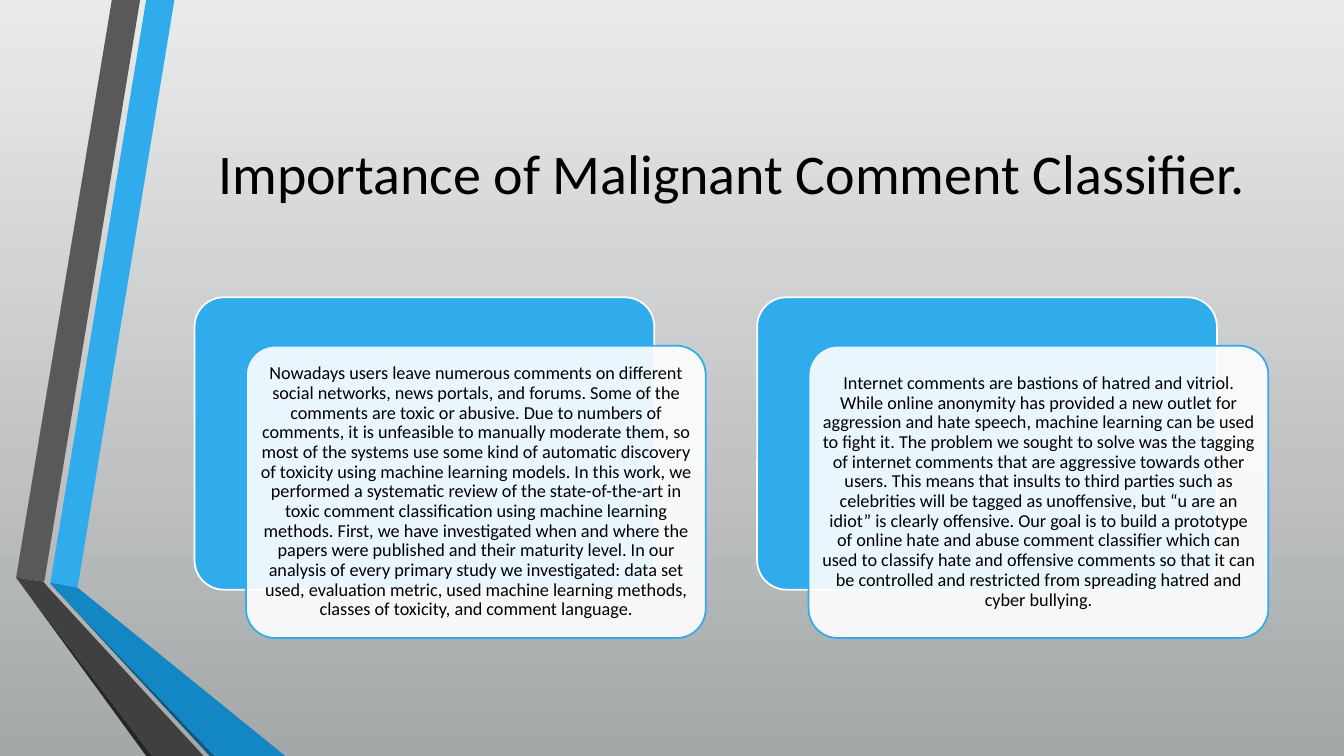
"""Build the slide on the importance of a malignant comment classifier."""
from lxml.etree import SubElement
from pptx import Presentation
from pptx.dml.color import RGBColor
from pptx.enum.shapes import MSO_SHAPE as SHAPE
from pptx.enum.text import MSO_ANCHOR as ANCHOR, PP_ALIGN as ALIGN
from pptx.oxml.ns import qn
from pptx.util import Inches, Pt

BLACK = RGBColor(0x00, 0x00, 0x00)
WHITE = RGBColor(0xFF, 0xFF, 0xFF)
BLUE = RGBColor(0x30, 0xAC, 0xEC)
MID_BLUE = RGBColor(0x12, 0x87, 0xC3)
DARK_BLUE = RGBColor(0x0C, 0x5A, 0x82)
GRAY = RGBColor(0x59, 0x59, 0x59)
DARK_GRAY = RGBColor(0x40, 0x40, 0x40)
CHARCOAL = RGBColor(0x26, 0x26, 0x26)
BACKGROUND = (RGBColor(0xE9, 0xEA, 0xEB), RGBColor(0xA5, 0xA8, 0xA9))
FONT = "Calibri"

TITLE = "Importance of Malignant Comment Classifier."
CARD_TEXTS = [
    "Nowadays users leave numerous comments on different social networks, news portals, "
    "and forums. Some of the comments are toxic or abusive. Due to numbers of comments, it "
    "is unfeasible to manually moderate them, so most of the systems use some kind of "
    "automatic discovery of toxicity using machine learning models. In this work, we "
    "performed a systematic review of the state-of-the-art in toxic comment classification "
    "using machine learning methods. First, we have investigated when and where the papers "
    "were published and their maturity level. In our analysis of every primary study we "
    "investigated: data set used, evaluation metric, used machine learning methods, classes "
    "of toxicity, and comment language.",
    "Internet comments are bastions of hatred and vitriol. While online anonymity has "
    "provided a new outlet for aggression and hate speech, machine learning can be used to "
    "fight it. The problem we sought to solve was the tagging of internet comments that are "
    "aggressive towards other users. This means that insults to third parties such as "
    "celebrities will be tagged as unoffensive, but “u are an idiot” is clearly offensive. "
    "Our goal is to build a prototype of online hate and abuse comment classifier which can "
    "used to classify hate and offensive comments so that it can be controlled and "
    "restricted from spreading hatred and cyber bullying.",
]
RIBBONS = [
    (BLUE, [(0.5, 5.78), (0.77, 5.83), (1.73, 0), (1.45, 0)]),
    (GRAY, [(1.39, 0), (1.11, 0), (0.16, 5.73), (0.44, 5.77)]),
    (CHARCOAL, [(0.16, 5.73), (1.45, 7.5), (1.51, 7.5)]),
    (DARK_BLUE, [(0.5, 5.79), (2.08, 7.5), (2.13, 7.5)]),
    (MID_BLUE, [(0.5, 5.79), (2.13, 7.5), (2.83, 7.5), (0.77, 5.83), (0.5, 5.78)]),
    (DARK_GRAY, [(2.02, 7.5), (0.48, 5.83), (0.43, 5.77), (0.16, 5.73), (1.51, 7.5)]),
]
CARD_LEFT, CARD_TOP, CARD_WIDTH, CARD_HEIGHT = 1.93, 2.95, 4.56, 2.9
CARD_PITCH = 5.58
FRONT_SHIFT = (0.51, 0.48)


def add_ribbon(slide, color, points):
    corners = [(Inches(x), Inches(y)) for x, y in points]
    builder = slide.shapes.build_freeform(*corners[0])
    builder.add_line_segments(corners[1:], close=True)
    shape = builder.convert_to_shape()
    shape.shadow.inherit = False
    shape.fill.solid()
    shape.fill.fore_color.rgb = color
    shape.line.fill.background()


def add_card(slide, left, top, fill, line):
    shape = slide.shapes.add_shape(
        SHAPE.ROUNDED_RECTANGLE,
        Inches(left), Inches(top), Inches(CARD_WIDTH), Inches(CARD_HEIGHT))
    shape.adjustments[0] = 0.1
    shape.shadow.inherit = False
    shape.fill.solid()
    shape.fill.fore_color.rgb = fill
    shape.line.color.rgb = line
    shape.line.width = Pt(1.25)
    return shape


def write_text(shape, text, size, margin, spacing=1.0):
    frame = shape.text_frame
    frame.word_wrap = True
    frame.vertical_anchor = ANCHOR.MIDDLE
    frame.margin_left = frame.margin_right = Inches(margin)
    frame.margin_top = frame.margin_bottom = Inches(0.05)
    paragraph = frame.paragraphs[0]
    paragraph.alignment = ALIGN.CENTER
    paragraph.line_spacing = spacing
    run = paragraph.add_run()
    run.text = text
    run.font.name = FONT
    run.font.size = Pt(size)
    run.font.color.rgb = BLACK


def main():
    presentation = Presentation()
    presentation.slide_width = Inches(13.33)
    presentation.slide_height = Inches(7.5)
    slide = presentation.slides.add_slide(presentation.slide_layouts[6])

    background = slide.background.fill
    background.gradient()
    background.gradient_angle = 270
    for stop, color in zip(background.gradient_stops, BACKGROUND):
        stop.color.rgb = color

    for color, points in RIBBONS:
        add_ribbon(slide, color, points)

    title = slide.shapes.add_textbox(
        Inches(1.93), Inches(0.75), Inches(10.65), Inches(1.92))
    write_text(title, TITLE, 40, 0.1)

    for index, text in enumerate(CARD_TEXTS):
        left = CARD_LEFT + index * CARD_PITCH
        add_card(slide, left, CARD_TOP, BLUE, WHITE)
        front = add_card(
            slide, left + FRONT_SHIFT[0], CARD_TOP + FRONT_SHIFT[1], WHITE, BLUE)
        fill_color = front.fill._xPr.find(qn("a:solidFill"))[0]
        SubElement(fill_color, qn("a:alpha"), val="90000")
        write_text(front, text, 13, 0.05, 0.9)

    presentation.save("out.pptx")


if __name__ == "__main__":
    main()
